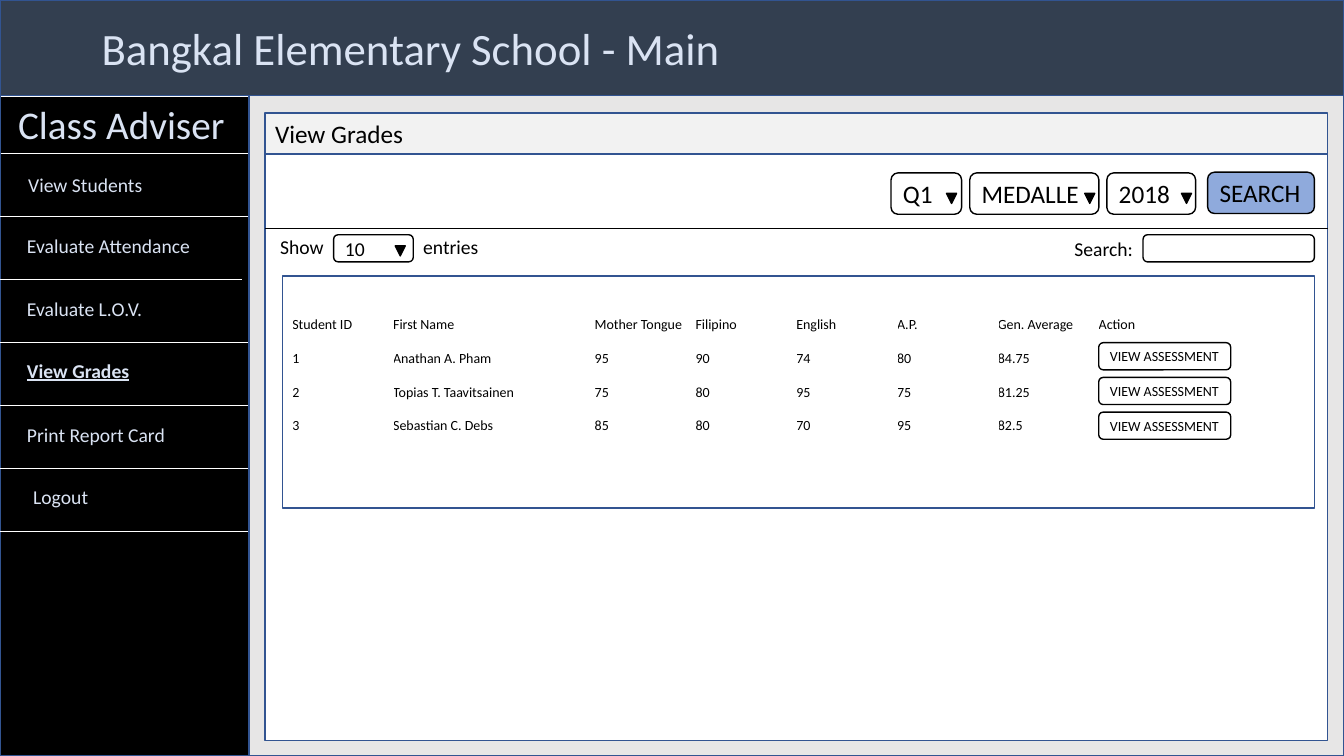
from lxml import etree
from pptx import Presentation
from pptx.dml.color import RGBColor
from pptx.enum.shapes import MSO_CONNECTOR, MSO_SHAPE
from pptx.enum.text import MSO_ANCHOR, MSO_AUTO_SIZE, PP_ALIGN
from pptx.oxml.ns import qn
from pptx.util import Pt

COLORS = {
    "header": "333F50", "edge": "325491", "sidebar": "000000", "page": "E7E6E6",
    "title_bar": "F2F2F2", "white": "FFFFFF", "black": "000000",
    "pale": "DAE3F3", "search": "8FAADC",
}
FONT = "Calibri"
WIDTH, HEIGHT = 960, 540

# label, text left, text top, length of the rule below
MENU = [
    ("View Students", 13, 51.8, 177.1),
    ("Evaluate Attendance", 12.2, 95, 172.8),
    ("Evaluate L.O.V.", 12.2, 140.4, 177.1),
    ("View Grades", 12.2, 184.3, 177.1),
    ("Print Report Card", 12.2, 230.4, 177.1),
    ("Logout", 16.6, 274.3, 177.1),
]
CURRENT_PAGE = "View Grades"

# label, left, width, left of the arrow
FILTERS = [("Q1", 447.1, 50.4, 486.7), ("MEDALLE", 503.3, 92.2, 585.4),
           ("2018", 601.2, 63.4, 654.5)]

GRADES = [
    ["Student ID", "First Name", "Mother Tongue", "Filipino", "English", "A.P.",
     "Gen. Average", "Action"],
    ["1", "Anathan A. Pham", "95", "90", "74", "80", "84.75", ""],
    ["2", "Topias T. Taavitsainen", "75", "80", "95", "75", "81.25", ""],
    ["3", "Sebastian C. Debs", "85", "80", "70", "95", "82.5", ""],
]
COLUMN_WIDTHS = [72, 144, 72, 72, 72, 72, 72, 96]
ROW_HEIGHT = 24.1


def rgb(name):
    return RGBColor.from_string(COLORS[name])


def write(frame, text, size, color):
    frame.text = text
    paragraph = frame.paragraphs[0]
    paragraph.alignment = PP_ALIGN.LEFT
    font = paragraph.font
    if paragraph.runs:
        font = paragraph.runs[0].font
    font.name, font.size = FONT, Pt(size)
    font.color.rgb = rgb(color)
    return font


def add_block(slide, preset, left, top, width, height, fill, edge, text="", size=18):
    block = slide.shapes.add_shape(preset, Pt(left), Pt(top), Pt(width), Pt(height))
    block.shadow.inherit = False
    block.fill.solid()
    block.fill.fore_color.rgb = rgb(fill)
    block.line.color.rgb = rgb(edge)
    block.line.width = Pt(1)
    if text:
        frame = block.text_frame
        frame.word_wrap = True
        frame.vertical_anchor = MSO_ANCHOR.MIDDLE
        frame.margin_top = frame.margin_bottom = frame.margin_right = 0
        write(frame, text, size, "black")
    return block


def add_field(slide, left, top, width, height, text="", size=18, fill="white"):
    add_block(slide, MSO_SHAPE.ROUNDED_RECTANGLE, left, top, width, height, fill,
              "black", text, size)


def add_arrow(slide, left, top):
    arrow = add_block(slide, MSO_SHAPE.ISOSCELES_TRIANGLE, left, top, 7.2, 7.2,
                      "black", "black")
    arrow.rotation = 180


def add_label(slide, left, top, width, height, text, size, color):
    label = slide.shapes.add_textbox(Pt(left), Pt(top), Pt(width), Pt(height))
    frame = label.text_frame
    frame.word_wrap = True
    frame.auto_size = MSO_AUTO_SIZE.SHAPE_TO_FIT_TEXT
    return write(frame, text, size, color)


def add_rule(slide, left, top, length, color):
    rule = slide.shapes.add_connector(MSO_CONNECTOR.STRAIGHT, Pt(left), Pt(top),
                                      Pt(left + length), Pt(top))
    rule.line.color.rgb = rgb(color)
    rule.line.width = Pt(0.5)
    etree.SubElement(rule._element.spPr, qn("a:effectLst"))


def draw_header(slide, left, top, width, height):
    add_block(slide, MSO_SHAPE.RECTANGLE, left, top, width, height, "header", "edge")
    add_label(slide, left + 65.5, top + 11.5, 485.3, 46,
              "Bangkal Elementary School - Main", 32, "pale")


def draw_sidebar(slide, left, top, width, height):
    add_block(slide, MSO_SHAPE.RECTANGLE, left, top, width, height, "sidebar", "edge")
    add_label(slide, left + 5.8, top, 171.4, 41, "Class Adviser", 28, "pale")
    for offset in (0.7, 41):
        add_rule(slide, left + 0.7, top + offset, 177.1, "white")
    # Menu entries, each closed by a rule
    for row, (entry, indent, text_top, length) in enumerate(MENU):
        font = add_label(slide, left + indent, top + text_top, 144.7, 24.5,
                         entry, 14, "pale")
        if entry == CURRENT_PAGE:
            font.bold = font.underline = True
        add_rule(slide, left, top + 86.4 + 44.9 * row, length, "white")


def draw_filters(slide, left, top, width):
    for choice, offset, field_width, arrow in FILTERS:
        add_field(slide, left + offset, top + 13.4, field_width, 29.5, choice)
        add_arrow(slide, left + arrow, top + 28)
    add_field(slide, left + 673.2, top + 12.9, 76.3, 29.5, "SEARCH", fill="search")
    add_rule(slide, left, top + 53.3, width, "black")


def draw_entry_controls(slide, left, top):
    for word, offset, drop in (("Show", 3.6, 0), ("entries", 105.8, 0),
                               ("Search:", 570.9, 1.4)):
        add_label(slide, left + offset, top + drop, 56.9, 24.5, word, 14, "black")
    add_field(slide, left + 48.9, top + 3.6, 56.9, 19.4, "10", 14)
    add_arrow(slide, left + 92.9, top + 11.5)
    add_field(slide, left + 627.1, top + 3.6, 122.4, 19.4)


def draw_grades(slide, left, top, width, height):
    add_block(slide, MSO_SHAPE.RECTANGLE, left, top, width, height, "white", "edge")
    table = slide.shapes.add_table(
        len(GRADES), len(COLUMN_WIDTHS), Pt(left + 7.2), Pt(top + 22.8),
        Pt(sum(COLUMN_WIDTHS)), Pt(ROW_HEIGHT * len(GRADES))).table
    table.first_row = table.horz_banding = False
    for column, column_width in zip(table.columns, COLUMN_WIDTHS):
        column.width = Pt(column_width)
    for row, values in zip(table.rows, GRADES):
        row.height = Pt(ROW_HEIGHT)
        for cell, value in zip(row.cells, values):
            cell.fill.solid()
            cell.fill.fore_color.rgb = rgb("white")
            cell.vertical_anchor = MSO_ANCHOR.MIDDLE
            cell.margin_left = cell.margin_right = 0
            cell.margin_top = cell.margin_bottom = 0
            write(cell.text_frame, value, 10, "black")
    # One button per student in the Action column
    for student in range(len(GRADES) - 1):
        add_field(slide, left + 583.2, top + 47.6 + 24.8 * student, 94.3, 19.4,
                  "VIEW ASSESSMENT", 10)


def draw_content(slide, left, top, width, height):
    add_block(slide, MSO_SHAPE.RECTANGLE, left, top, width, height, "page", "edge")
    panel_left, panel_top, panel_width, bar = left + 11.6, top + 12.2, 758.9, 29.5
    add_block(slide, MSO_SHAPE.RECTANGLE, panel_left, panel_top, panel_width, bar,
              "title_bar", "edge", "View Grades")
    body_top = panel_top + bar
    add_block(slide, MSO_SHAPE.RECTANGLE, panel_left, body_top, panel_width, 419,
              "white", "edge")
    draw_filters(slide, panel_left, body_top, panel_width)
    draw_entry_controls(slide, panel_left, body_top + 54)
    draw_grades(slide, panel_left + 12.2, body_top + 87.1, 737.3, 165.6)


def main():
    deck = Presentation()
    deck.slide_width, deck.slide_height = Pt(WIDTH), Pt(HEIGHT)
    slide = deck.slides.add_slide(deck.slide_layouts[6])
    body_top = 68.4
    draw_header(slide, 0, 0, WIDTH, HEIGHT)
    draw_sidebar(slide, 0, body_top, 201.6, HEIGHT - body_top)
    draw_content(slide, 177.8, body_top, WIDTH - 177.8, HEIGHT - body_top)
    deck.save("out.pptx")


if __name__ == "__main__":
    main()
